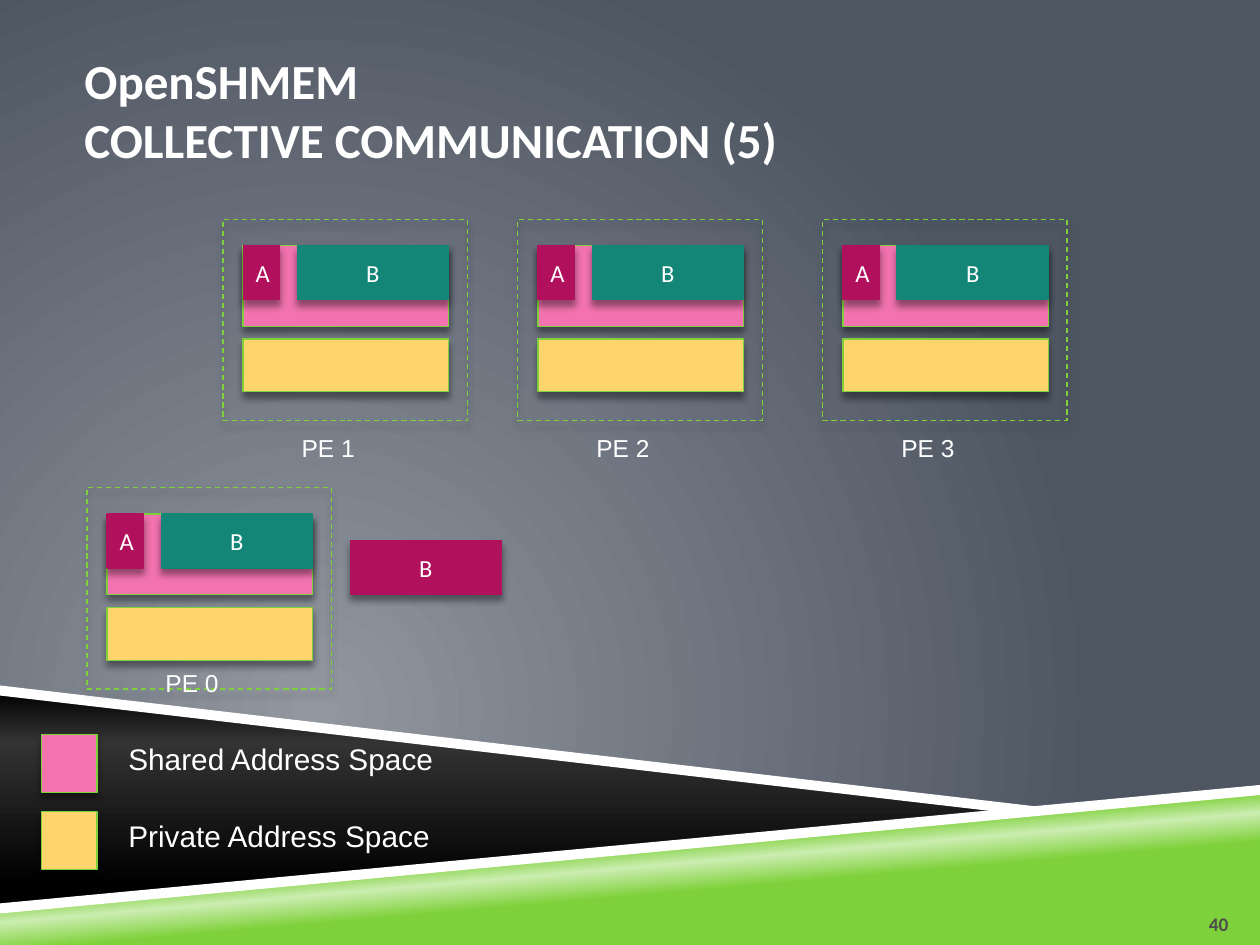
"""Build the OpenSHMEM collective communication slide."""
from dataclasses import dataclass

from pptx import Presentation
from pptx.dml.color import RGBColor
from pptx.enum.dml import MSO_LINE
from pptx.enum.shapes import MSO_SHAPE
from pptx.enum.text import MSO_ANCHOR, PP_ALIGN
from pptx.oxml import parse_xml
from pptx.oxml.ns import nsdecls, qn
from pptx.util import Inches, Pt


@dataclass(frozen=True)
class Theme:
    white: str = "FFFFFF"
    black: str = "000000"
    charcoal: str = "333333"
    number: str = "4D4D4D"
    green: str = "7FD13B"
    pale_green: str = "CCEDB1"
    shared: str = "F273AF"
    private: str = "FED46C"
    source: str = "B0105C"
    target: str = "138677"
    glow: str = "91969F"
    slate: str = "4E5662"
    heading: str = "Calibri"
    body: str = "Arial"
    title_size: int = 28
    legend_size: int = 17
    label_size: int = 14
    number_size: int = 11


class SlideBuilder:
    def __init__(self, slide, theme):
        self.slide = slide
        self.theme = theme

    def gradient(self, fill, stops, direction):
        fill.gradient()
        gradient = fill._xPr.find(qn("a:gradFill"))
        marks = "".join(
            f'<a:gs pos="{position * 1000}"><a:srgbClr val="{color}"/></a:gs>'
            for position, color in stops
        )
        gradient.getparent().replace(gradient, parse_xml(
            f'<a:gradFill {nsdecls("a")} rotWithShape="1">'
            f"<a:gsLst>{marks}</a:gsLst>{direction}</a:gradFill>"
        ))

    def backdrop(self):
        self.gradient(
            self.slide.background.fill,
            [(0, self.theme.glow), (100, self.theme.slate)],
            '<a:path path="circle">'
            '<a:fillToRect l="50000" t="100000" r="100000" b="50000"/></a:path>',
        )

    def band(self, points, color=None, stops=None, angle=0):
        corners = [(Inches(x), Inches(y)) for x, y in points]
        outline = self.slide.shapes.build_freeform(*corners[0])
        outline.add_line_segments(corners[1:], close=True)
        band = outline.convert_to_shape()
        band.shadow.inherit = False
        band.line.fill.background()
        if stops:
            self.gradient(band.fill, stops, f'<a:lin ang="{angle * 60000}" scaled="0"/>')
        else:
            band.fill.solid()
            band.fill.fore_color.rgb = RGBColor.from_string(color)

    def set_text(self, frame, text, size, font, color=None, align=PP_ALIGN.LEFT, bold=False):
        paragraph = frame.paragraphs[0]
        paragraph.text = text
        paragraph.alignment = align
        look = {"size": Pt(size), "name": font, "bold": bold}
        for run in paragraph.runs:
            for name, value in look.items():
                setattr(run.font, name, value)
            run.font.color.rgb = RGBColor.from_string(color or self.theme.white)

    def box(self, left, top, width, height, fill=None, line=None, text=None):
        box = self.slide.shapes.add_shape(
            MSO_SHAPE.RECTANGLE, Inches(left), Inches(top), Inches(width), Inches(height)
        )
        if fill:
            box.fill.solid()
            box.fill.fore_color.rgb = RGBColor.from_string(fill)
        else:
            box.fill.background()
            box.line.dash_style = MSO_LINE.DASH
        box.line.color.rgb = RGBColor.from_string(line or self.theme.green)
        box.line.width = Pt(0.75)
        box.shadow.inherit = False
        box._element.spPr.find(qn("a:effectLst")).append(parse_xml(
            f'<a:outerShdw {nsdecls("a")} blurRad="{Pt(4)}" dist="{Pt(3.3)}" '
            f'dir="5400000" rotWithShape="0"><a:srgbClr val="{self.theme.black}">'
            '<a:alpha val="40000"/></a:srgbClr></a:outerShdw>'
        ))
        if text:
            box.text_frame.vertical_anchor = MSO_ANCHOR.MIDDLE
            self.set_text(box.text_frame, text, self.theme.label_size,
                          self.theme.heading, align=PP_ALIGN.CENTER)

    def label(self, left, top, width, height, text, size, font, layout=None, **look):
        frame = self.slide.shapes.add_textbox(
            Inches(left), Inches(top), Inches(width), Inches(height)
        ).text_frame
        for name, value in {"word_wrap": True, **(layout or {})}.items():
            setattr(frame, name, value)
        self.set_text(frame, text, size, font, **look)

    def variable(self, left, top, width, name, color):
        self.box(left, top, width, 0.43, color, color, name)

    def processing_element(self, number, left, top, label_drop):
        theme = self.theme
        inner, heap = left + 0.16, top + 0.21
        self.box(inner, heap, 1.63, 0.64, theme.shared)
        self.box(inner, heap + 0.74, 1.63, 0.42, theme.private)
        self.box(left, top, 1.94, 1.6)
        self.label(left, top + label_drop, 1.67, 0.34, f"PE {number}",
                   theme.label_size, theme.body, align=PP_ALIGN.CENTER)
        self.variable(inner, heap, 0.29, "A", theme.source)
        self.variable(inner + 0.43, heap, 1.2, "B", theme.target)

    def legend_row(self, top, color, text):
        self.box(0.33, top, 0.44, 0.46, color)
        self.label(0.92, top, 3.24, 0.4, text, self.theme.legend_size, self.theme.body)


def main():
    theme = Theme()
    deck = Presentation()
    deck.slide_width, deck.slide_height = Inches(10), Inches(7.5)
    page = SlideBuilder(deck.slides.add_slide(deck.slide_layouts[6]), theme)

    page.backdrop()
    page.band([(0, 5.48), (8.14, 6.43), (0, 7.2)], angle=90,
              stops=[(0, theme.black), (24, theme.charcoal), (90, theme.black)])
    page.band([(0, 7.21), (10, 6.27), (10, 7.5), (0, 7.5)], angle=265,
              stops=[(39, theme.green), (50, theme.pale_green), (58, theme.green)])
    page.band([(0, 5.44), (0, 5.52), (7.98, 6.45), (8.39, 6.42)], theme.white)
    page.band([(10, 6.23), (0, 7.17), (0, 7.25), (10, 6.31)], theme.white)

    page.processing_element(0, 0.69, 3.87, 1.38)
    legend = {"Shared Address Space": theme.shared, "Private Address Space": theme.private}
    for row, (text, color) in enumerate(legend.items()):
        page.legend_row(5.83 + row * 0.61, color, text)
    for number, left in enumerate((1.77, 4.11, 6.53), start=1):
        page.processing_element(number, left, 1.74, 1.65)
    page.variable(2.78, 4.29, 1.2, "B", theme.source)

    page.label(0.67, 0.33, 8.92, 1.08, "OpenSHMEM\nCOLLECTIVE COMMUNICATION (5)",
               theme.title_size, theme.heading, bold=True,
               layout={"vertical_anchor": MSO_ANCHOR.MIDDLE,
                       "margin_left": 0, "margin_right": 0})
    page.label(9.25, 7.02, 0.5, 0.4, "40", theme.number_size, theme.heading,
               color=theme.number, align=PP_ALIGN.RIGHT, bold=True,
               layout={"vertical_anchor": MSO_ANCHOR.BOTTOM, "margin_left": 0,
                       "margin_right": 0, "margin_bottom": 0})
    deck.save("out.pptx")


if __name__ == "__main__":
    main()
